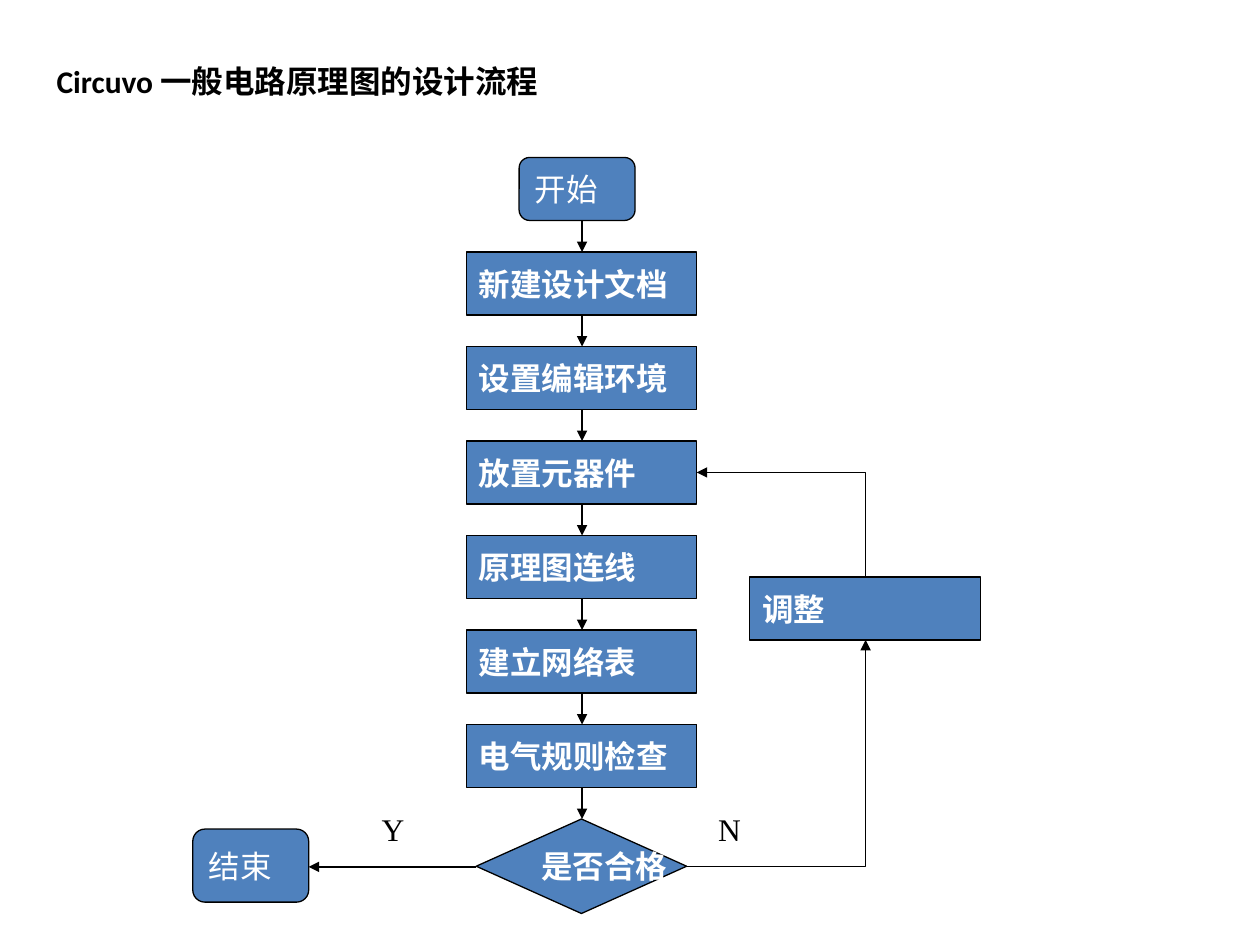
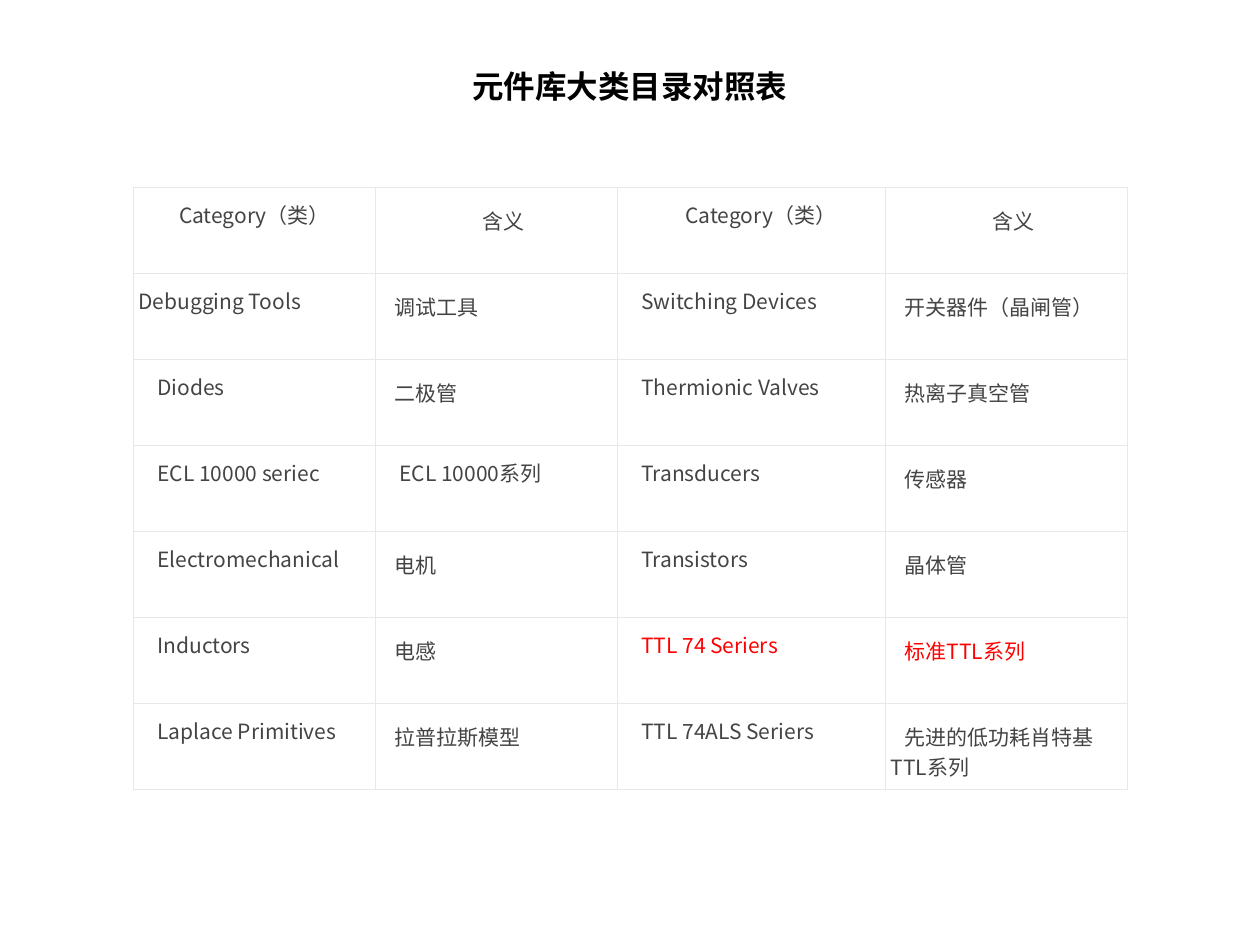
"""Builds two slides: a circuit design flow chart and a parts library table."""
from pptx import Presentation
from pptx.dml.color import RGBColor
from pptx.enum import shapes, text
from pptx.oxml import ns, xmlchemy
from pptx.util import Inches, Pt

HUES = {"ink": "000000", "box": "4F81BD", "white": "FFFFFF",
        "rule": "E8E8E8", "body": "444444", "mark": "FF0000"}
SERIF, SANS, HEAD = "Times New Roman", "Noto Sans CJK SC", "Calibri"
KINDS = shapes.MSO_SHAPE

TITLES = ["Circuvo 一般电路原理图的设计流程", "元件库大类目录对照表"]
STEPS = ["新建设计文档", "设置编辑环境", "放置元器件", "原理图连线", "建立网络表", "电气规则检查"]
MID, TOP, PITCH = 4.62, 1.25, 0.75
STEP_W, STEP_H = 1.83, 0.5
LOOP, TEST_Y = 6.87, 6.88
ENDS = [("开始", (4.12, TOP, 0.92, 0.5)), ("结束", (1.53, 6.58, 0.92, 0.58))]
MARKS = [("N", 5.6), ("Y", 2.93)]

COLS = [1.92, 1.92, 2.13, 1.92]
LEFT, ROW_H = 1.06, 0.683
HEADS = [["Category（类）", "含义"] * 2]
PARTS = [
    ["Debugging Tools", "调试工具", "Switching Devices", "开关器件（晶闸管）"],
    ["Diodes", "二极管", "Thermionic Valves", "热离子真空管"],
    ["ECL 10000 seriec", "ECL 10000系列", "Transducers", "传感器"],
    ["Electromechanical", "电机", "Transistors", "晶体管"],
    ["Inductors", "电感", "TTL 74 Seriers", "标准TTL系列"],
    ["Laplace Primitives", "拉普拉斯模型", "TTL 74ALS Seriers", "先进的低功耗肖特基TTL系列"],
]
RED = {"TTL 74 Seriers", "标准TTL系列"}


def hue(key):
    return RGBColor.from_string(HUES[key])


def add(root, tag, **attrs):
    node = xmlchemy.OxmlElement(tag)
    for key, val in attrs.items():
        node.set(key, val)
    root.append(node)
    return node


def style(para, face, size, tint, bold=False):
    font = para.font
    font.name, font.size, font.bold = face, Pt(size), bold
    font.color.rgb = hue(tint)
    base = para._p.pPr.find(ns.qn("a:defRPr"))
    add(base, "a:ea", typeface=SANS)


def label(slide, words, area, face, bold=False, wrap=False, align=None):
    frame = slide.shapes.add_textbox(*map(Inches, area)).text_frame
    frame.word_wrap = wrap
    para = frame.paragraphs[0]
    para.text, para.alignment = words, align
    style(para, face, 18, "ink", bold)


def node(slide, kind, words, area, bold=True):
    shape = slide.shapes.add_shape(kind, *map(Inches, area))
    shape.shadow.inherit = False
    shape.fill.solid()
    shape.fill.fore_color.rgb = hue("box")
    shape.line.color.rgb, shape.line.width = hue("ink"), Pt(0.75)
    frame = shape.text_frame
    frame.word_wrap = False
    frame.vertical_anchor = text.MSO_ANCHOR.MIDDLE
    para = frame.paragraphs[0]
    para.text, para.alignment = words, text.PP_ALIGN.LEFT
    style(para, SERIF, 18, "white", bold)


def arrow(slide, start, stop, bent=False, tip="a:tailEnd"):
    kind = shapes.MSO_CONNECTOR.ELBOW if bent else shapes.MSO_CONNECTOR.STRAIGHT
    line = slide.shapes.add_connector(kind, *map(Inches, start + stop))
    line.line.color.rgb, line.line.width = hue("ink"), Pt(0.75)
    add(line.line._get_or_add_ln(), tip, type="triangle")
    props = line._element.spPr
    add(props, "a:effectLst")
    if bent:
        props.find(ns.qn("a:prstGeom")).set("prst", "bentConnector2")


def flow(slide):
    label(slide, TITLES[0], (0.35, 0.44, 4.11, 0.4), HEAD, bold=True)
    for words, area in ENDS:
        node(slide, KINDS.FLOWCHART_ALTERNATE_PROCESS, words, area, bold=False)
    for i, words in enumerate(STEPS, 1):
        area = (3.7, TOP + i * PITCH, STEP_W, STEP_H)
        node(slide, KINDS.FLOWCHART_PROCESS, words, area)
    node(slide, KINDS.FLOWCHART_PROCESS, "调整", (5.95, 4.58, STEP_W, STEP_H))
    node(slide, KINDS.FLOWCHART_DECISION, "是否合格", (3.78, 6.5, 1.67, 0.75))
    for i in range(len(STEPS) + 1):
        low = TOP + i * PITCH + STEP_H
        arrow(slide, (MID, low), (MID, low + PITCH - STEP_H))
    arrow(slide, (3.78, TEST_Y), (2.45, TEST_Y))
    arrow(slide, (5.45, TEST_Y), (LOOP, 5.08), bent=True)
    arrow(slide, (5.53, 3.75), (LOOP, 4.58), bent=True, tip="a:headEnd")
    for words, left in MARKS:
        label(slide, words, (left, 6.38, 0.38, 0.4), SERIF)


def fill(cell, words, first, align):
    props = cell._tc.get_or_add_tcPr()
    for side in "LRTB":
        edge = add(props, f"a:ln{side}", w=str(Pt(0.75)))
        add(add(edge, "a:solidFill"), "a:srgbClr", val=HUES["rule"])
    cell.fill.solid()
    cell.fill.fore_color.rgb = hue("white")
    latin = words[0].isascii()
    cell.margin_left = cell.margin_right = cell.margin_bottom = Inches(0.04)
    cell.margin_top = Inches(0.09 if latin else 0.14)
    para = cell.text_frame.paragraphs[0]
    para.text, para.alignment = words, align
    dent = 0 if first else 0.15 if latin else 0.11
    para._p.get_or_add_pPr().set("indent", str(Inches(dent)))
    style(para, SANS, 12, "mark" if words in RED else "body")


def grid(slide, rows, top, align):
    area = (LEFT, top, sum(COLS), ROW_H * len(rows))
    table = slide.shapes.add_table(len(rows), len(COLS), *map(Inches, area)).table
    table.first_row = table.horz_banding = False
    for col, width in zip(table.columns, COLS):
        col.width = Inches(width)
    for r, row in enumerate(rows):
        for c, words in enumerate(row):
            fill(table.cell(r, c), words, r == c == 0, align)


def main():
    deck = Presentation()
    deck.slide_width, deck.slide_height = Inches(10), Inches(7.5)
    chart, parts = [deck.slides.add_slide(deck.slide_layouts[6]) for _ in TITLES]
    flow(chart)
    label(parts, TITLES[1], (0.5, 0.48, 9, 1.05), SANS, bold=True, wrap=True,
          align=text.PP_ALIGN.CENTER)
    grid(parts, PARTS, 2.17, text.PP_ALIGN.LEFT)
    grid(parts, HEADS, 1.49, text.PP_ALIGN.CENTER)
    deck.save("out.pptx")


if __name__ == "__main__":
    main()
